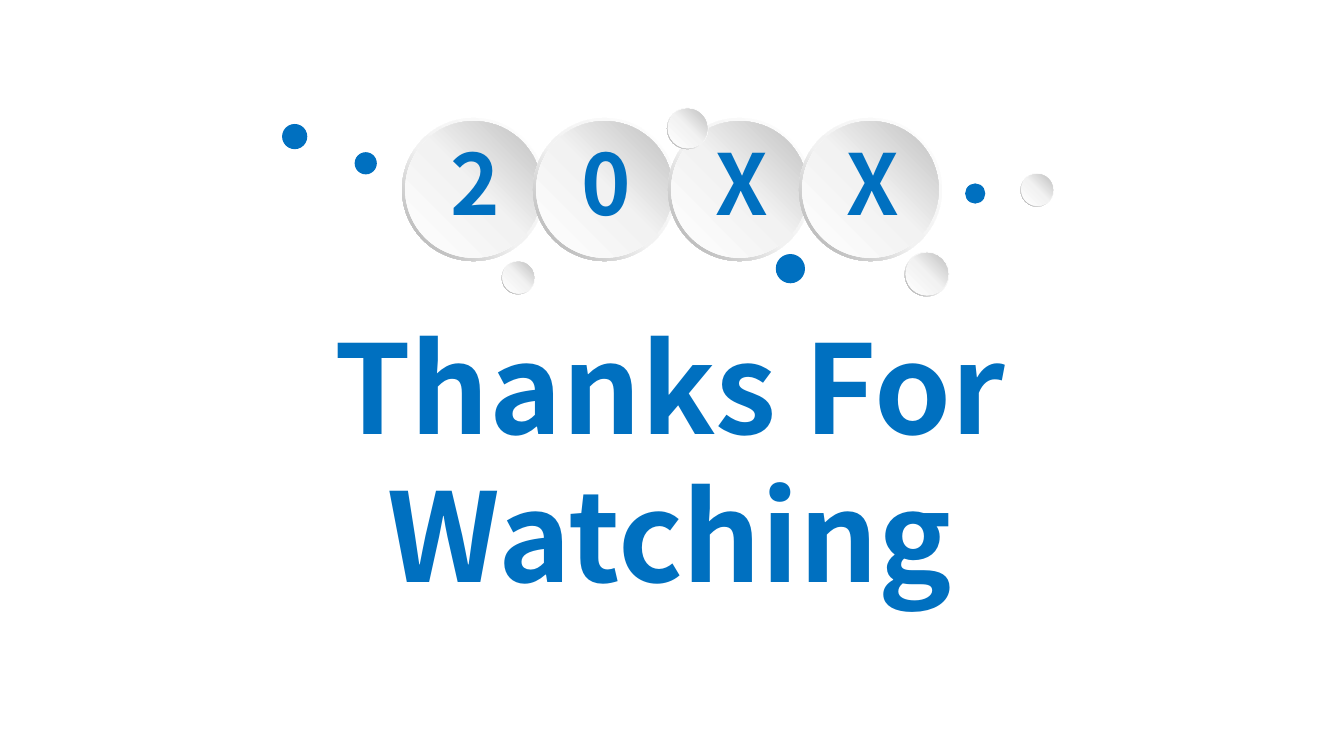
from lxml import etree
from pptx import Presentation
from pptx.dml.color import RGBColor
from pptx.enum.shapes import MSO_SHAPE
from pptx.enum.text import MSO_AUTO_SIZE, PP_ALIGN
from pptx.oxml.ns import qn
from pptx.util import Inches, Pt

DONUT, OVAL = MSO_SHAPE.DONUT, MSO_SHAPE.OVAL
CENTER = PP_ALIGN.CENTER
GROW = MSO_AUTO_SIZE.SHAPE_TO_FIT_TEXT

FONT = "Noto Sans CJK SC"
BLUE = "0070C0"
RIM_STOPS = [(0, "FFFFFF"), (55, "F2F2F2"), (100, "A6A6A6")]
FACE_STOPS = [(0, "FFFFFF"), (51, "F2F2F2"), (100, "BFBFBF")]
RIM_ANGLE, FACE_ANGLE = 225, 45
RIM_SHARE = 0.049
FACE_SHARE = 0.955

YEAR_TOP, YEAR_SIZE = 1.17, 1.42
YEAR_DISCS = [("2", 3.99), ("0", 5.29), ("X", 6.63), ("X", 7.93)]
SILVER_DOTS = [(6.62, 1.07, 0.41), (8.98, 2.5, 0.44),
               (4.98, 2.59, 0.33), (10.13, 1.72, 0.33)]
BLUE_DOTS = [(7.7, 2.52, 0.29), (9.58, 1.82, 0.2),
             (3.52, 1.51, 0.22), (2.8, 1.23, 0.25)]


def color(value):
    """Turn a hex string into a colour."""
    return RGBColor.from_string(value)


def paint_gradient(shape, stops, angle):
    """Fill a shape with a linear gradient of (percent, colour) stops."""
    shape.fill.gradient()
    shape.fill.gradient_angle = angle
    stop_list = shape._element.spPr.find(".//" + qn("a:gsLst"))
    for old_stop in list(stop_list):
        stop_list.remove(old_stop)
    for percent, value in stops:
        stop = etree.SubElement(stop_list, qn("a:gs"), pos=str(percent * 1000))
        etree.SubElement(stop, qn("a:srgbClr"), val=value)


def add_disc(slide, left, top, size, solid=None):
    """Group a rim and a face into a disc, silver unless a solid colour is given."""
    group = slide.shapes.add_group_shape()
    inset = size * (1 - FACE_SHARE) / 2
    layers = [(DONUT, 0, RIM_STOPS, RIM_ANGLE), (OVAL, inset, FACE_STOPS, FACE_ANGLE)]
    for kind, margin, stops, angle in layers:
        side = Inches(size - 2 * margin)
        shape = group.shapes.add_shape(
            kind, Inches(left + margin), Inches(top + margin), side, side)
        shape.shadow.inherit = False
        shape.line.fill.background()
        if kind == DONUT:
            shape.adjustments[0] = RIM_SHARE
        if solid:
            shape.fill.solid()
            shape.fill.fore_color.rgb = color(solid)
        else:
            paint_gradient(shape, stops, angle)


def add_label(slide, left, top, width, height, text, size):
    """Add centred bold blue text in a box."""
    box = slide.shapes.add_textbox(
        Inches(left), Inches(top), Inches(width), Inches(height))
    frame = box.text_frame
    frame.word_wrap = True
    frame.auto_size = GROW
    frame.text = text
    for paragraph in frame.paragraphs:
        paragraph.alignment = CENTER
        for run in paragraph.runs:
            run.font.name = FONT
            run.font.size = Pt(size)
            run.font.bold = True
            run.font.color.rgb = color(BLUE)


def add_year(slide, top, size):
    """Draw the row of discs and put one character of the year on each."""
    for _, left in YEAR_DISCS:
        add_disc(slide, left, top, size)
    width = size * 1.25
    for character, left in YEAR_DISCS:
        add_label(slide, left - (width - size) / 2 + 0.02, top + 0.09,
                  width, 1.11, character, 60)


def add_dots(slide):
    """Scatter the small silver and blue discs around the year."""
    for left, top, size in SILVER_DOTS:
        add_disc(slide, left, top, size)
    for left, top, size in BLUE_DOTS:
        add_disc(slide, left, top, size, BLUE)


def main():
    """Build the closing slide and save it."""
    presentation = Presentation()
    presentation.slide_width = Inches(13.34)
    presentation.slide_height = Inches(7.5)
    slide = presentation.slides.add_slide(presentation.slide_layouts[6])
    add_year(slide, YEAR_TOP, YEAR_SIZE)
    add_dots(slide)
    add_label(slide, 2.92, 3.04, 7.45, 3.06, "Thanks For\nWatching", 88)
    presentation.save("out.pptx")


if __name__ == "__main__":
    main()
